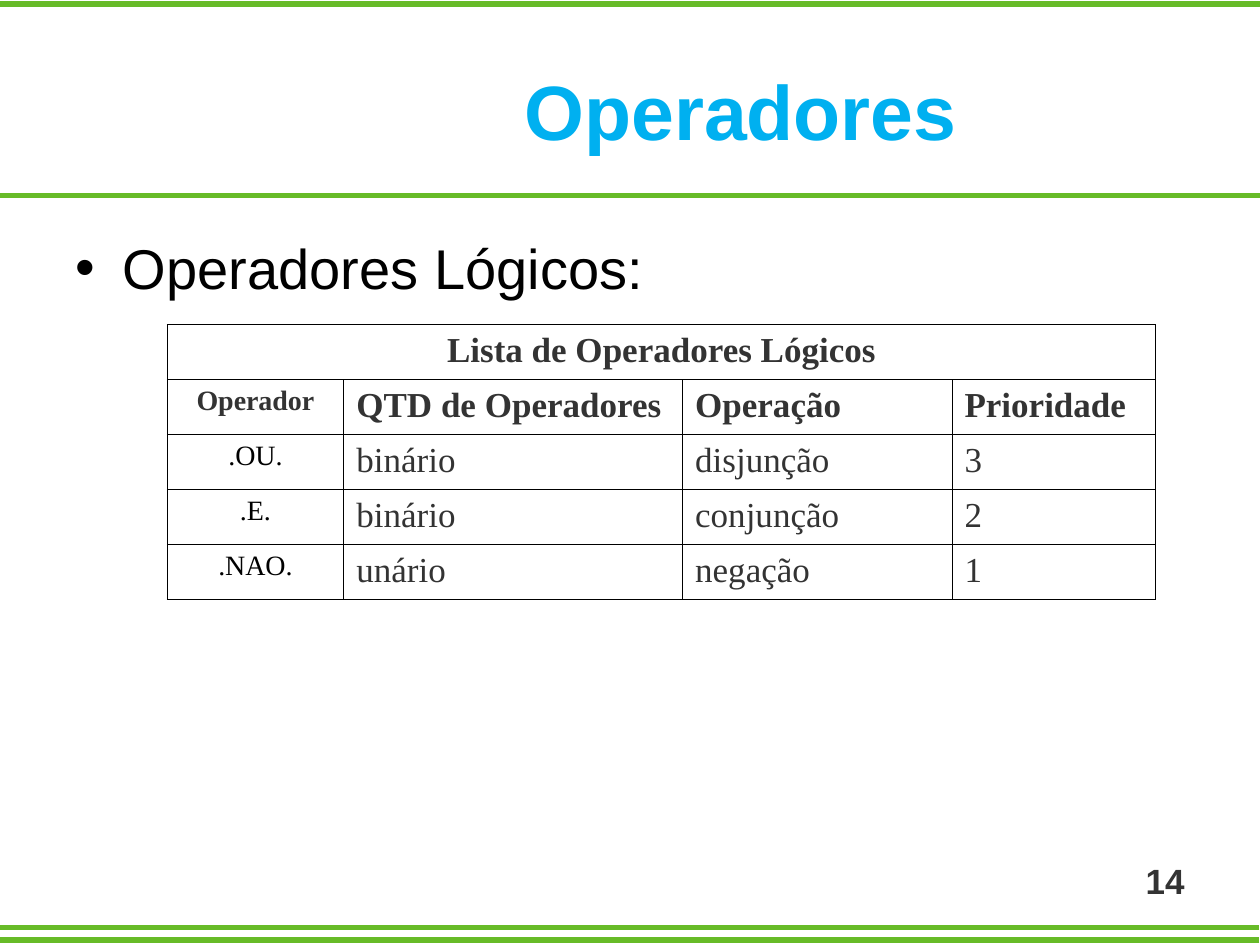
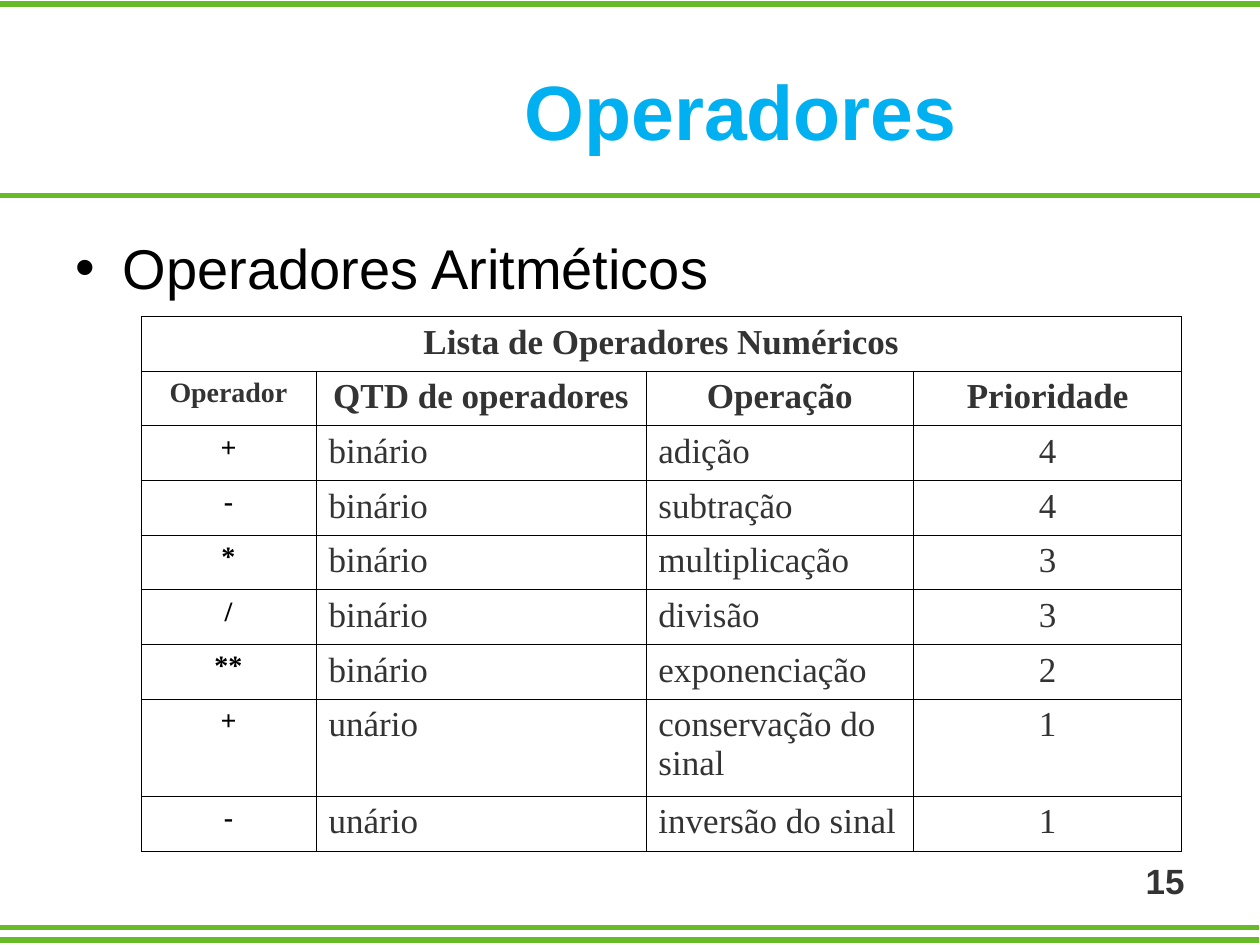
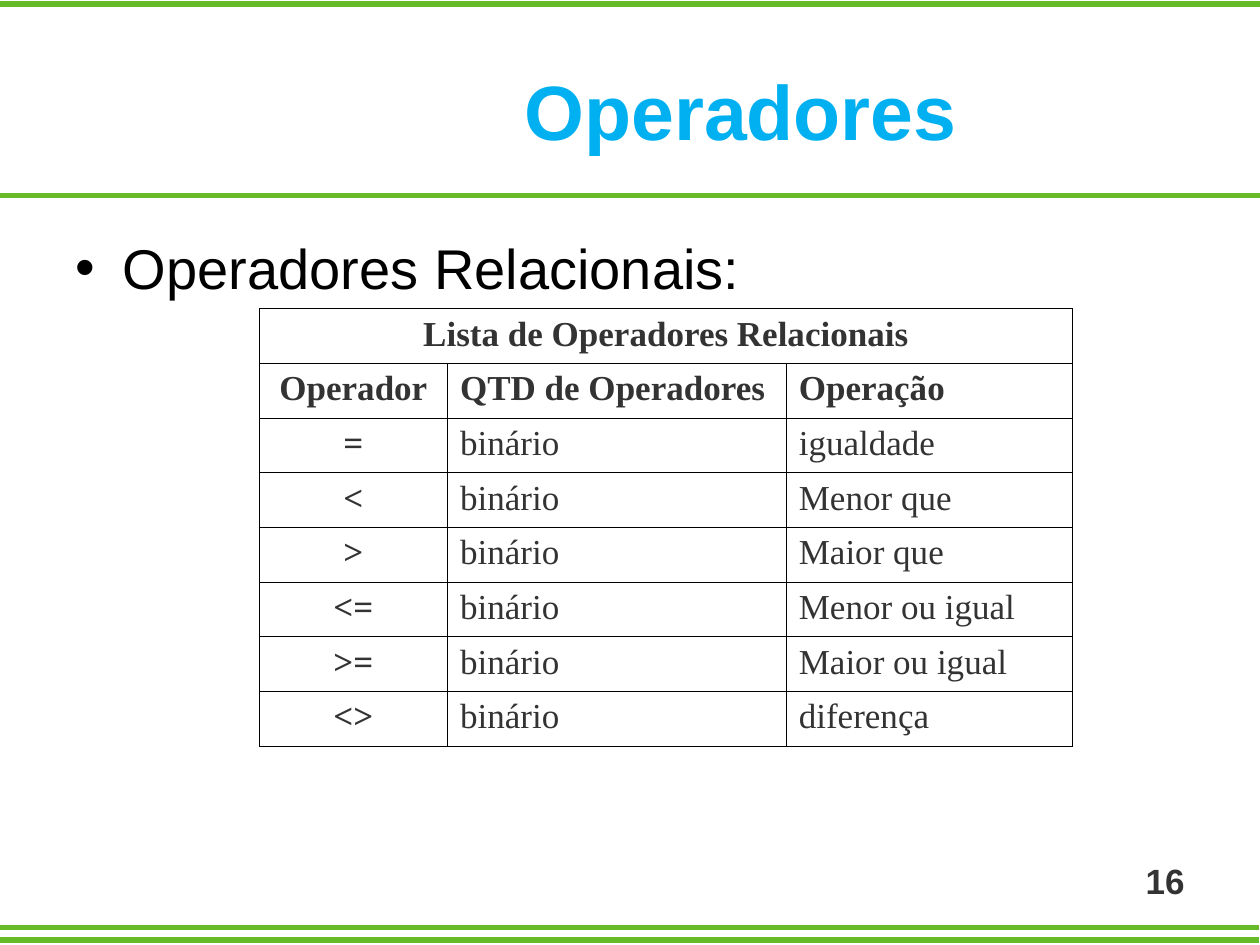
from lxml.etree import SubElement
from pptx import Presentation
from pptx.dml.color import RGBColor
from pptx.enum.shapes import MSO_CONNECTOR
from pptx.enum.text import MSO_ANCHOR, PP_ALIGN
from pptx.oxml.ns import qn
from pptx.util import Cm, Pt

# Shared look
COLORS = {"green": "67BB28", "blue": "00B0F0", "gray": "333333", "black": "000000"}
SANS, SERIF = "Arial", "Times New Roman"
ALIGN = {"l": PP_ALIGN.LEFT, "c": PP_ALIGN.CENTER, "r": PP_ALIGN.RIGHT}
SLIDE_WIDTH, SLIDE_HEIGHT = 25.4, 19.05
TITLE = "Operadores"
FIRST_PAGE_NUMBER = 14
BULLET_INDENT = 0.96
BORDER_WIDTH = 0.45

# Band lines: left end and height
BAND_LINES = [(0, 3.94), (-0.02, 18.69), (-0.02, 18.95), (0, 0.08)]

# Content: head_align and body_align hold one letter per column
PAGES = [
    {
        "topic": "Operadores Lógicos:", "topic_height": 3.71,
        "caption": "Lista de Operadores Lógicos",
        "left": 3.37, "top": 6.54, "row_height": 1.11, "tall_rows": {},
        "columns": [3.56, 6.83, 5.43, 4.11],
        "head_align": "clll", "body_align": "clll",
        "operator_size": 16, "operator_color": "black", "operator_bold": False,
        "head": ["Operador", "QTD de Operadores", "Operação", "Prioridade"],
        "body": [
            [".OU.", "binário", "disjunção", "3"],
            [".E.", "binário", "conjunção", "2"],
            [".NAO.", "unário", "negação", "1"],
        ],
    },
    {
        "topic": "Operadores Aritméticos", "topic_height": 2.51,
        "caption": "Lista de Operadores Numéricos",
        "left": 2.84, "top": 6.38, "row_height": 1.1, "tall_rows": {7: 1.96},
        "columns": [3.53, 6.65, 5.4, 5.4],
        "head_align": "cccc", "body_align": "cllc",
        "operator_size": 16, "operator_color": "black", "operator_bold": True,
        "head": ["Operador", "QTD de operadores", "Operação", "Prioridade"],
        "body": [
            ["+", "binário", "adição", "4"],
            ["-", "binário", "subtração", "4"],
            ["*", "binário", "multiplicação", "3"],
            ["/", "binário", "divisão", "3"],
            ["**", "binário", "exponenciação", "2"],
            ["+", "unário", "conservação do sinal", "1"],
            ["-", "unário", "inversão do sinal", "1"],
        ],
    },
    {
        "topic": "Operadores Relacionais:", "topic_height": 3.71,
        "caption": "Lista de Operadores Relacionais",
        "left": 5.23, "top": 6.22, "row_height": 1.1, "tall_rows": {},
        "columns": [3.79, 6.83, 5.77],
        "head_align": "cll", "body_align": "cll",
        "operator_size": 20, "operator_color": "gray", "operator_bold": True,
        "head": ["Operador", "QTD de Operadores", "Operação"],
        "body": [
            ["=", "binário", "igualdade"],
            ["<", "binário", "Menor que"],
            [">", "binário", "Maior que"],
            ["<=", "binário", "Menor ou igual"],
            [">=", "binário", "Maior ou igual"],
            ["<>", "binário", "diferença"],
        ],
    },
]


def rgb(name):
    return RGBColor.from_string(COLORS[name])


def write(para, text, size, color, font=SANS, bold=False, align="l"):
    para.text = text
    para.alignment = ALIGN[align]
    para.font.name = font
    para.font.size = Pt(size)
    para.font.bold = bold
    para.font.color.rgb = rgb(color)


def add_box(page, left, top, width, height):
    box = page.shapes.add_textbox(Cm(left), Cm(top), Cm(width), Cm(height))
    box.text_frame.word_wrap = True
    return box.text_frame


def add_bullet(para):
    properties = para._p.get_or_add_pPr()
    properties.set("marL", str(Cm(BULLET_INDENT)))
    properties.set("indent", str(-Cm(BULLET_INDENT)))
    bullet_color = SubElement(properties, qn("a:buClr"))
    SubElement(bullet_color, qn("a:srgbClr"), val=COLORS["black"])
    SubElement(properties, qn("a:buFont"), typeface=SANS)
    SubElement(properties, qn("a:buChar"), char="•")


def add_band_line(page, left, height):
    line = page.shapes.add_connector(
        MSO_CONNECTOR.STRAIGHT, Cm(left + SLIDE_WIDTH), Cm(height), Cm(left), Cm(height))
    line.line.color.rgb = rgb("green")
    line.line.width = Pt(3)
    SubElement(line._element.spPr, qn("a:effectLst"))


def add_frame(page, number, content):
    for left, height in BAND_LINES:
        add_band_line(page, left, height)

    title = add_box(page, 4.47, 0, 20.93, 4.42)
    title.vertical_anchor = MSO_ANCHOR.MIDDLE
    write(title.paragraphs[0], TITLE, 44, "blue", bold=True, align="c")

    topic = add_box(page, 1.27, 4.45, 22.86, content["topic_height"])
    topic.margin_top = Cm(0.25)
    add_bullet(topic.paragraphs[0])
    write(topic.paragraphs[0], content["topic"], 32, "black")

    footer = add_box(page, 22.28, 17.2, 1.85, 1.32)
    write(footer.paragraphs[0], str(number), 20, "gray", bold=True, align="r")


def draw_borders(cell):
    properties = cell._tc.get_or_add_tcPr()
    for position, side in enumerate(("a:lnL", "a:lnR", "a:lnT", "a:lnB")):
        border = SubElement(properties, qn(side), w=str(Pt(BORDER_WIDTH)))
        properties.insert(position, border)
        fill = SubElement(border, qn("a:solidFill"))
        SubElement(fill, qn("a:srgbClr"), val=COLORS["black"])


def add_operator_table(page, content):
    columns = content["columns"]
    rows = [[content["caption"]] + [""] * (len(columns) - 1), content["head"], *content["body"]]
    heights = [content["tall_rows"].get(index, content["row_height"])
               for index in range(len(rows))]
    table = page.shapes.add_table(
        len(rows), len(columns), Cm(content["left"]), Cm(content["top"]),
        Cm(sum(columns)), Cm(sum(heights))).table
    table.first_row = table.horz_banding = False
    for column, width in zip(table.columns, columns):
        column.width = Cm(width)
    for row, height in zip(table.rows, heights):
        row.height = Cm(height)
    table.cell(0, 0).merge(table.cell(0, len(columns) - 1))

    for row_index, texts in enumerate(rows):
        in_body = row_index > 1
        aligns = content["body_align"] if in_body else content["head_align"]
        for column_index, text in enumerate(texts):
            cell = table.cell(row_index, column_index)
            cell.fill.background()
            draw_borders(cell)
            if not text:
                continue
            size, color, bold = 20, "gray", not in_body
            if column_index == 0 and row_index > 0:
                size = content["operator_size"]
                if in_body:
                    color, bold = content["operator_color"], content["operator_bold"]
            write(cell.text_frame.paragraphs[0], text, size, color, SERIF, bold,
                  aligns[column_index])


def main():
    deck = Presentation()
    deck.slide_width, deck.slide_height = Cm(SLIDE_WIDTH), Cm(SLIDE_HEIGHT)
    for number, content in enumerate(PAGES, FIRST_PAGE_NUMBER):
        page = deck.slides.add_slide(deck.slide_layouts[6])
        add_frame(page, number, content)
        add_operator_table(page, content)
    deck.save("out.pptx")


if __name__ == "__main__":
    main()
